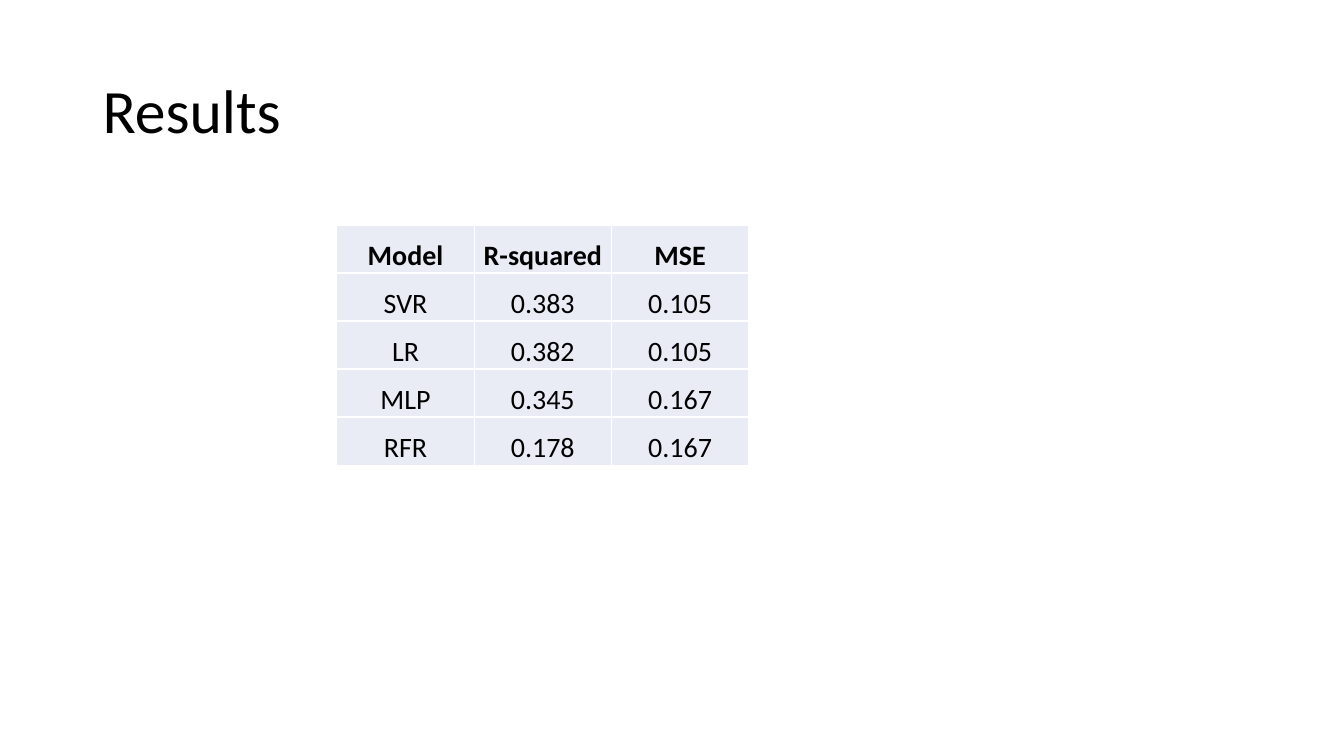
from lxml import etree
from pptx import Presentation
from pptx import util as u
from pptx.dml.color import RGBColor
from pptx.enum import text
from pptx.oxml import ns


def colour(value):
    return RGBColor.from_string(value)


class ResultsSlide:
    """Holds the style and the current slide, and draws its elements."""

    font = "Calibri"
    ink = "000000"
    cell_fill = "E9EBF5"
    border = "FFFFFF"

    def __init__(self, deck):
        self.slide = deck.slides.add_slide(deck.slide_layouts[5])
        self.slide.background.fill.solid()
        self.slide.background.fill.fore_color.rgb = colour("FFFFFF")

    def add_words(self, frame, words, size, align, bold=False):
        paragraph = frame.paragraphs[0]
        paragraph.alignment = align
        run = paragraph.add_run()
        run.text = words
        run.font.name = self.font
        run.font.size = u.Pt(size)
        run.font.bold = bold
        run.font.color.rgb = colour(self.ink)
        return paragraph

    def title(self, words, left, top, width, height):
        heading = self.slide.shapes.title
        heading.left, heading.top = u.Cm(left), u.Cm(top)
        heading.width, heading.height = u.Cm(width), u.Cm(height)
        frame = heading.text_frame
        frame.word_wrap = True
        frame.auto_size = text.MSO_AUTO_SIZE.NONE
        frame.vertical_anchor = text.MSO_ANCHOR.MIDDLE
        self.add_words(frame, words, 44, text.PP_ALIGN.LEFT).line_spacing = 0.9

    def outline(self, cell):
        properties = cell._tc.get_or_add_tcPr()
        for side in ("a:lnL", "a:lnR", "a:lnT", "a:lnB"):
            edge = etree.SubElement(properties, ns.qn(side), w=str(u.Pt(1)))
            paint = etree.SubElement(edge, ns.qn("a:solidFill"))
            etree.SubElement(paint, ns.qn("a:srgbClr"), val=self.border)

    def cell(self, cell, words, bold):
        cell.margin_left = cell.margin_right = cell.margin_top = u.Cm(0.02)
        cell.margin_bottom = u.Cm(0)
        cell.vertical_anchor = text.MSO_ANCHOR.BOTTOM
        self.outline(cell)
        cell.fill.solid()
        cell.fill.fore_color.rgb = colour(self.cell_fill)
        self.add_words(cell.text_frame, words, 20, text.PP_ALIGN.CENTER, bold)

    def table(self, records, left, top, column_width, row_height):
        rows, columns = len(records), len(records[0])
        grid = self.slide.shapes.add_table(
            rows, columns, u.Cm(left), u.Cm(top),
            u.Cm(columns * column_width), u.Cm(rows * row_height)).table
        grid.first_row = grid.horz_banding = False
        for column in grid.columns:
            column.width = u.Cm(column_width)
        for r, record in enumerate(records):
            grid.rows[r].height = u.Cm(row_height)
            for c, words in enumerate(record):
                self.cell(grid.cell(r, c), words, bold=r == 0)


def main():
    deck = Presentation()
    deck.slide_width, deck.slide_height = u.Cm(33.87), u.Cm(19.05)
    results = ResultsSlide(deck)
    results.title("Results", 2.33, 1.01, 29.21, 3.68)
    scores = [
        ("Model", "R-squared", "MSE"),
        ("SVR", "0.383", "0.105"),
        ("LR", "0.382", "0.105"),
        ("MLP", "0.345", "0.167"),
        ("RFR", "0.178", "0.167"),
    ]
    results.table(scores, 8.49, 5.67, 3.46, 1.21)
    deck.save("out.pptx")


if __name__ == "__main__":
    main()
